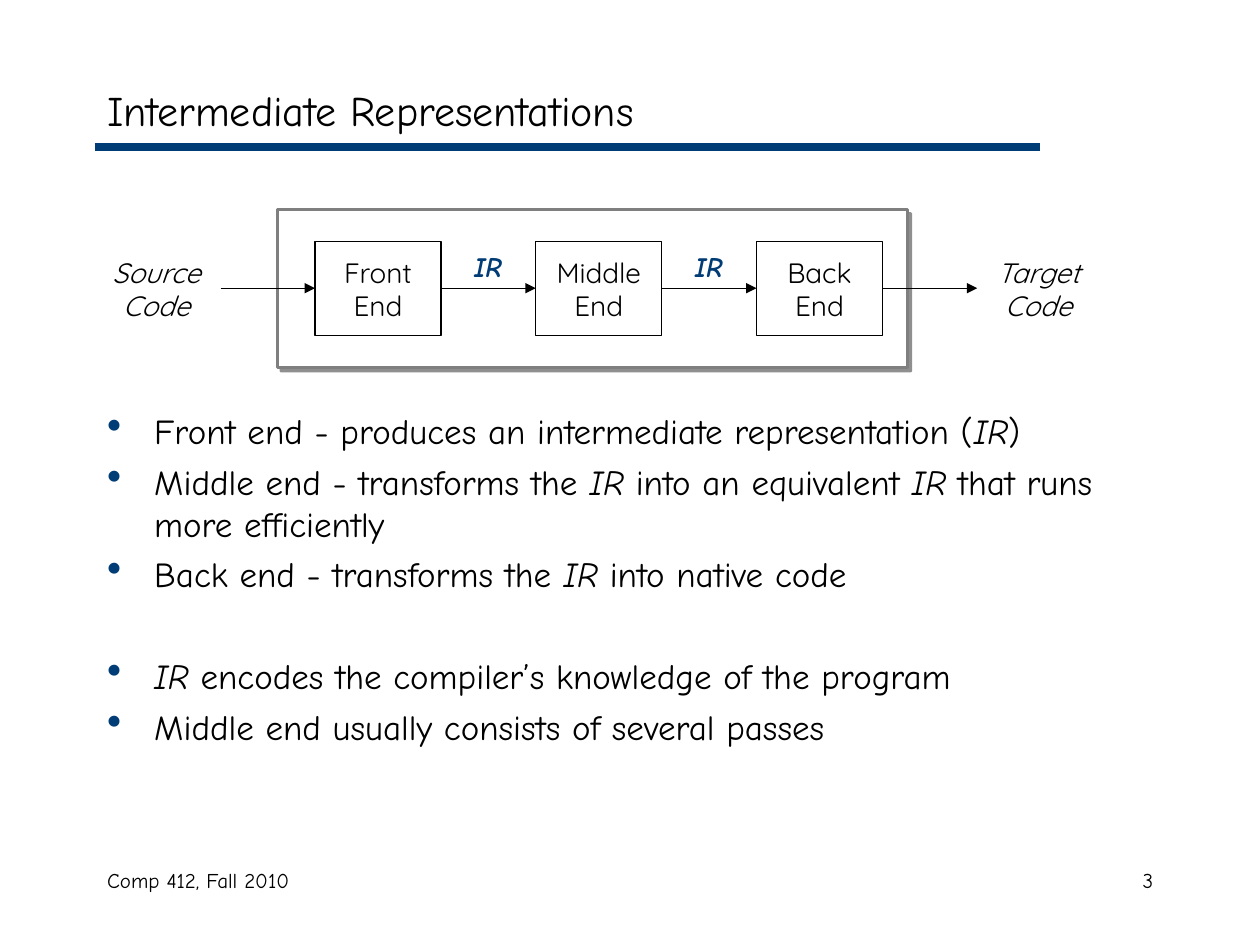
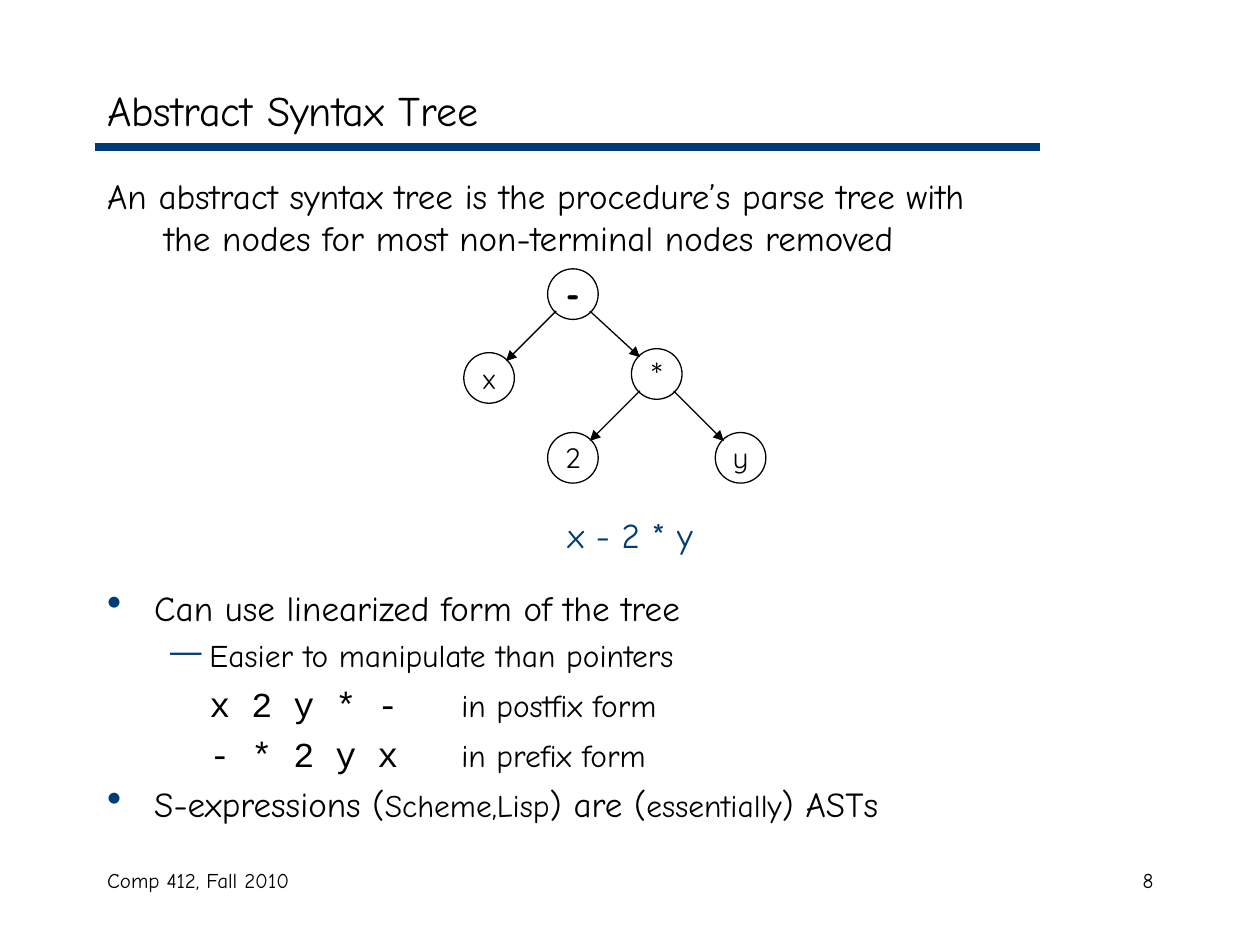
from lxml import etree
from pptx import Presentation
from pptx.dml.color import RGBColor
from pptx.enum import shapes as sh, text as tx
from pptx.oxml import ns
from pptx.util import Cm, Pt

NAVY = RGBColor(0x00, 0x3C, 0x75)
BLACK = RGBColor(0, 0, 0)
WHITE = RGBColor(255, 255, 255)
GREY = RGBColor(0x7F, 0x7F, 0x7F)
HAND, SANS, MONO = "Comic Neue", "Quicksand", "Courier New"
LEFT, MID, RIGHT = tx.PP_ALIGN.LEFT, tx.PP_ALIGN.CENTER, tx.PP_ALIGN.RIGHT
EDGE = 1.91
WIDE = 21.59
IT = {"ital": True}
SMALL = {"size": 18}


def put(parent, tag, **attrs):
    return etree.SubElement(parent, ns.qn(tag), {k: str(v) for k, v in attrs.items()})


class Deck:
    def __init__(self):
        self.prs = Presentation()
        self.prs.slide_width, self.prs.slide_height = Cm(25.4), Cm(19.05)

    def page(self, title, num):
        """Start a slide with its title, rule and footer."""
        self.slide = self.prs.slides.add_slide(self.prs.slide_layouts[6])
        self.line(EDGE, 2.96, 20.96, 2.96, NAVY, 4.5)
        self.label(title, EDGE, 1.48, WIDE, 1.48, size=24, align=LEFT, wrap=True)
        foot = {"size": 12, "wrap": True, "anchor": tx.MSO_ANCHOR.TOP}
        self.label("Comp 412, Fall 2010", EDGE, 17.36, 8.05, 1.27, align=LEFT, **foot)
        self.label(str(num), 18.21, 17.36, 5.29, 1.27, align=RIGHT, **foot)

    def run(self, para, words, font=HAND, size=20, color=BLACK, bold=False, ital=False):
        run = para.add_run()
        run.text = words
        face = run.font
        face.name, face.size, face.bold, face.italic = font, Pt(size), bold, ital
        face.color.rgb = color

    def fill(self, frame, lines, align=MID, wrap=False,
             anchor=tx.MSO_ANCHOR.MIDDLE, **style):
        """Write one styled paragraph for each line."""
        frame.word_wrap, frame.vertical_anchor = wrap, anchor
        for i, words in enumerate(lines.split("\n")):
            para = frame.add_paragraph() if i else frame.paragraphs[0]
            para.alignment = align
            self.run(para, words, **style)

    def label(self, lines, x, y, w, h, **style):
        box = self.slide.shapes.add_textbox(Cm(x), Cm(y), Cm(w), Cm(h))
        self.fill(box.text_frame, lines, **style)

    def shape(self, kind, x, y, w, h, line=BLACK, width=0.75):
        form = self.slide.shapes.add_shape(kind, Cm(x), Cm(y), Cm(w), Cm(h))
        form.shadow.inherit = False
        form.fill.background()
        form.line.color.rgb, form.line.width = line, Pt(width)
        return form

    def frame(self, x, y, w, h):
        """Draw a white panel with a hard shadow."""
        form = self.shape(sh.MSO_SHAPE.RECTANGLE, x, y, w, h, GREY, 1.5)
        form.fill.solid()
        form.fill.fore_color.rgb = WHITE
        list_ = form._element.spPr.find(ns.qn("a:effectLst"))
        cast = put(list_, "a:outerShdw", blurRad=0, dist=Pt(3), dir=45 * 60000,
                   algn="tl", rotWithShape=0)
        put(put(cast, "a:srgbClr", val=BLACK), "a:alpha", val=43000)

    def line(self, x1, y1, x2, y2, color=BLACK, width=0.75, head=False):
        link = self.slide.shapes.add_connector(
            sh.MSO_CONNECTOR.STRAIGHT, Cm(x1), Cm(y1), Cm(x2), Cm(y2))
        link.line.color.rgb, link.line.width = color, Pt(width)
        if head:
            put(link.line._get_or_add_ln(), "a:tailEnd", type="triangle")
        put(link._element.spPr, "a:effectLst")

    def body(self, y, h):
        box = self.slide.shapes.add_textbox(Cm(EDGE), Cm(y), Cm(WIDE), Cm(h))
        self.text = box.text_frame
        self.text.word_wrap = True
        self.fresh = True

    def para(self, *runs, mark=None, left=0, hang=0, gap=5, after=0, align=LEFT, tab=None):
        """Add a body paragraph; each run is a string or a (string, style) pair."""
        para = self.text.paragraphs[0] if self.fresh else self.text.add_paragraph()
        para.space_before = Pt(0 if self.fresh else gap)
        para.space_after = Pt(after)
        para.alignment = align
        self.fresh = False
        props = para._p.get_or_add_pPr()
        props.set("marL", str(Cm(left)))
        props.set("indent", str(Cm(-hang)))
        if mark:
            put(put(props, "a:buClr"), "a:srgbClr", val=NAVY)
            put(props, "a:buSzPct", val=120000 if mark == "•" else 100000)
            put(props, "a:buChar", char=mark)
        if tab:
            put(put(props, "a:tabLst"), "a:tab", pos=Cm(tab), algn="l")
        for run in runs:
            words, style = (run, {}) if isinstance(run, str) else run
            self.run(para, words, **style)

    def point(self, *runs, gap=5):
        self.para(*runs, mark="•", left=0.95, hang=0.95, gap=gap)


def stages(deck):
    deck.page("Intermediate Representations", 3)
    deck.body(8.13, 8.81)
    ir = ("IR", IT)
    deck.point("Front end - produces an intermediate representation (", ir, ")")
    deck.point("Middle end - transforms the ", ir, " into an equivalent ", ir,
               " that runs more efficiently")
    deck.point("Back end - transforms the ", ir, " into native code")
    deck.point(ir, " encodes the compiler’s knowledge of the program", gap=34)
    deck.point("Middle end usually consists of several passes")

    deck.frame(5.59, 4.23, 12.7, 3.18)
    top, high, step = 4.87, 1.9, 4.45
    for i, name in enumerate(("Front", "Middle", "Back")):
        box = deck.shape(sh.MSO_SHAPE.RECTANGLE, 6.35 + i * step, top, 2.54, high)
        deck.fill(box.text_frame, name + "\nEnd", font=SANS, size=16)
    for i in range(4):
        x = 4.45 + i * step
        deck.line(x, 5.81, x + 1.9, 5.81, head=True)
    for i in range(2):
        deck.label("IR", 9.3 + i * step, 4.9, 1.07, 0.94, size=16, color=NAVY,
                   bold=True, ital=True)
    for name, x in (("Source", EDGE), ("Target", 19.69)):
        deck.label(name + "\nCode", x, top, 2.49, high, font=SANS, size=16, ital=True)


def tree(deck):
    deck.page("Abstract Syntax Tree", 8)
    deck.body(3.39, 13.55)
    deck.para("An abstract syntax tree is the procedure’s parse tree with")
    deck.para("the nodes for most non-terminal nodes removed", left=1.15, gap=0)
    deck.para(("x - 2 * y", {"color": NAVY}), align=MID, gap=146, after=12.5)
    deck.point("Can use linearized form of the tree")
    deck.para(("Easier to manipulate than pointers", SMALL), mark="—",
              left=2.06, hang=0.79, gap=4.5)
    for code, form in (("x 2 y * -", "postfix"), ("- * 2 y x", "prefix")):
        deck.para((code, {"font": MONO}), (f"\tin {form} form", SMALL),
                  left=2.06, gap=4.5, tab=5.08)
    deck.point("S-expressions (", ("Scheme,Lisp", SMALL), ") are (",
               ("essentially", SMALL), ") ASTs")

    size, step, reach = 1.02, 1.69, 0.34
    nodes = {"-": (0, 5.93), "x": (-1, 7.62), "*": (1, 7.54), "2": (0, 9.23), "y": (2, 9.23)}
    spots = {name: (11.55 + col * step, y) for name, (col, y) in nodes.items()}
    for name, (x, y) in spots.items():
        ring = deck.shape(sh.MSO_SHAPE.OVAL, x - size / 2, y - size / 2, size, size)
        text = ring.text_frame
        text.margin_left = text.margin_right = text.margin_top = text.margin_bottom = 0
        deck.fill(text, name, font=SANS, size=20 if name in "-*" else 16, bold=name == "-")
    for top, low in ("-x", "-*", "*2", "*y"):
        (x1, y1), (x2, y2) = spots[top], spots[low]
        side = reach if x2 > x1 else -reach
        deck.line(x1 + side, y1 + reach, x2 - side, y2 - reach, head=True)


def main():
    deck = Deck()
    stages(deck)
    tree(deck)
    deck.prs.save("out.pptx")


if __name__ == "__main__":
    main()
